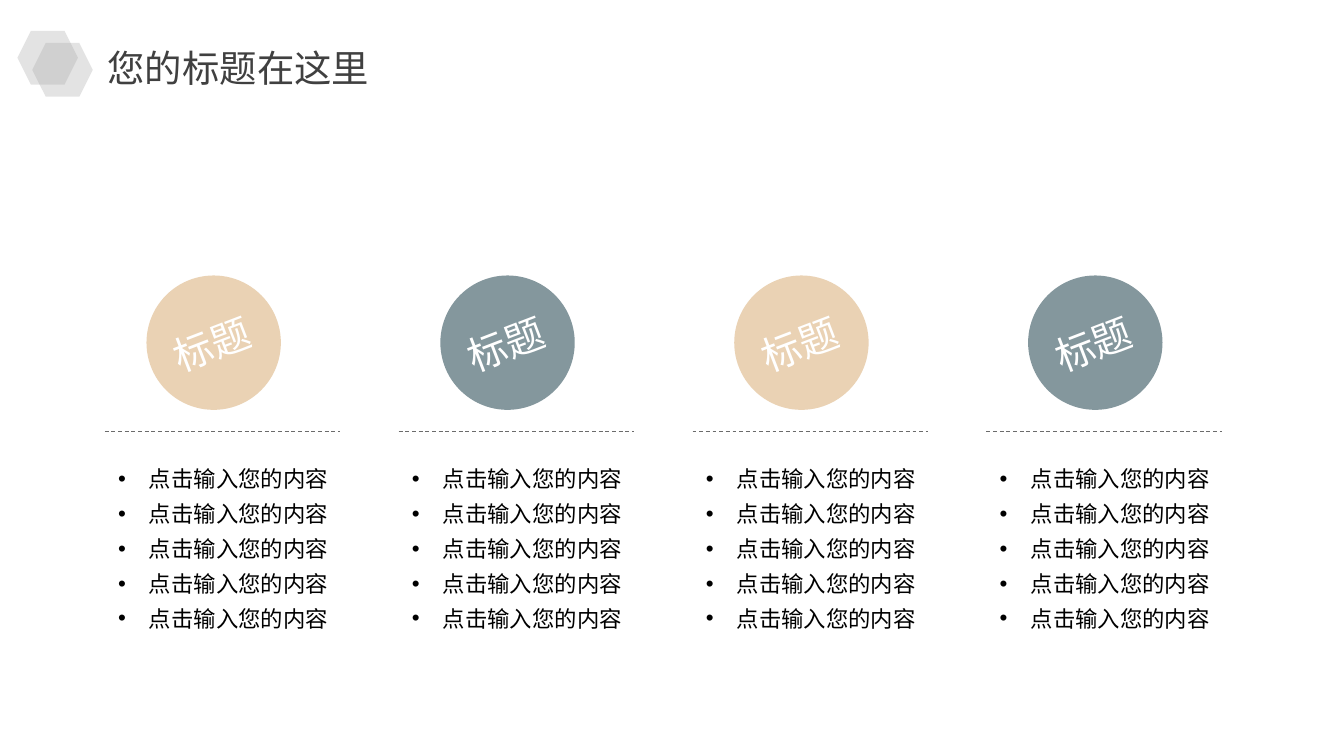
from dataclasses import dataclass

from lxml import etree
from pptx import Presentation
from pptx import util as u
from pptx.dml import color as dye
from pptx.enum import dml, shapes, text
from pptx.oxml import ns


@dataclass(frozen=True)
class Theme:
    font: str = "Noto Sans CJK SC"
    sand: str = "EAD2B4"
    slate: str = "84979D"
    gray: str = "A6A6A6"
    rule: str = "6B6B6B"
    dark: str = "404040"
    black: str = "000000"
    white: str = "FFFFFF"
    head: float = 20
    label: float = 21
    body: float = 12
    pitch: float = 18.75


class Deck:
    def __init__(self, theme):
        self.theme = theme
        self.file = Presentation()
        # Widescreen, 16:9
        self.file.slide_width = u.Inches(10)
        self.file.slide_height = u.Inches(10 * 9 / 16)
        self.slide = self.file.slides.add_slide(self.file.slide_layouts[6])

    def shape(self, kind, box, color, alpha=None):
        item = self.slide.shapes.add_shape(kind, *map(u.Inches, box))
        item.shadow.inherit = False
        item.fill.solid()
        item.fill.fore_color.rgb = dye.RGBColor.from_string(color)
        item.line.fill.background()
        if alpha is not None:
            tint = item._element.spPr.find(".//" + ns.qn("a:srgbClr"))
            etree.SubElement(tint, ns.qn("a:alpha"), val=str(alpha * 1000))

    def rule(self, left, right, y):
        ends = map(u.Inches, (left, y, right, y))
        item = self.slide.shapes.add_connector(shapes.MSO_CONNECTOR.STRAIGHT, *ends)
        item.line.color.rgb = dye.RGBColor.from_string(self.theme.rule)
        item.line.width = u.Pt(0.5)
        item.line.dash_style = dml.MSO_LINE.DASH
        etree.SubElement(item._element.spPr, ns.qn("a:effectLst"))

    def frame(self, box, anchor, wrap=True, turn=0):
        item = self.slide.shapes.add_textbox(*map(u.Inches, box))
        item.rotation = turn
        item.text_frame.word_wrap = wrap
        item.text_frame.vertical_anchor = anchor
        return item.text_frame

    def run(self, para, words, size, color):
        run = para.add_run()
        run.text = words
        run.font.name = self.theme.font
        run.font.size = u.Pt(size)
        run.font.color.rgb = dye.RGBColor.from_string(color)
        props = run._r.get_or_add_rPr()
        etree.SubElement(props, ns.qn("a:ea"), typeface=self.theme.font)

    def line(self, box, words, size, color, wrap=True, turn=0):
        para = self.frame(box, text.MSO_ANCHOR.MIDDLE, wrap, turn).paragraphs[0]
        para.alignment = text.PP_ALIGN.CENTER
        self.run(para, words, size, color)

    def bullets(self, box, rows):
        frame = self.frame(box, text.MSO_ANCHOR.TOP)
        for i, words in enumerate(rows):
            para = frame.add_paragraph() if i else frame.paragraphs[0]
            para.line_spacing = u.Pt(self.theme.pitch)
            props = para._p.get_or_add_pPr()
            props.set("marL", str(u.Inches(0.23)))
            props.set("indent", str(u.Inches(-0.23)))
            etree.SubElement(props, ns.qn("a:buFont"), typeface="Arial")
            etree.SubElement(props, ns.qn("a:buChar"), char="•")
            self.run(para, words, self.theme.body, self.theme.black)


def main():
    theme = Theme()
    deck = Deck(theme)

    # Four columns: circle, tilted label, dashed rule, bullet list
    first, last = 0.78, 7.34
    step = (last - first) / 3
    for i in range(4):
        left = first + i * step
        color = (theme.sand, theme.slate)[i % 2]
        deck.shape(shapes.MSO_SHAPE.OVAL, (left + 0.31, 2.05, 1, 1), color)
        deck.line((left + 0.28, 2.33, 1.03, 0.45), "标题", theme.label, theme.white,
                  turn=338.9)
        deck.rule(left, left + 1.75, 3.21)
        deck.bullets((left, 3.35, 1.89, 1.41), ["点击输入您的内容"] * 5)

    # Heading with two overlapping hexagons
    for left, top in ((0.13, 0.23), (0.24, 0.32)):
        deck.shape(shapes.MSO_SHAPE.HEXAGON, (left, top, 0.45, 0.4), theme.gray, 31)
    deck.line((0.69, 0.28, 2.17, 0.44), "您的标题在这里", theme.head, theme.dark,
              wrap=False)

    deck.file.save("out.pptx")


if __name__ == "__main__":
    main()
